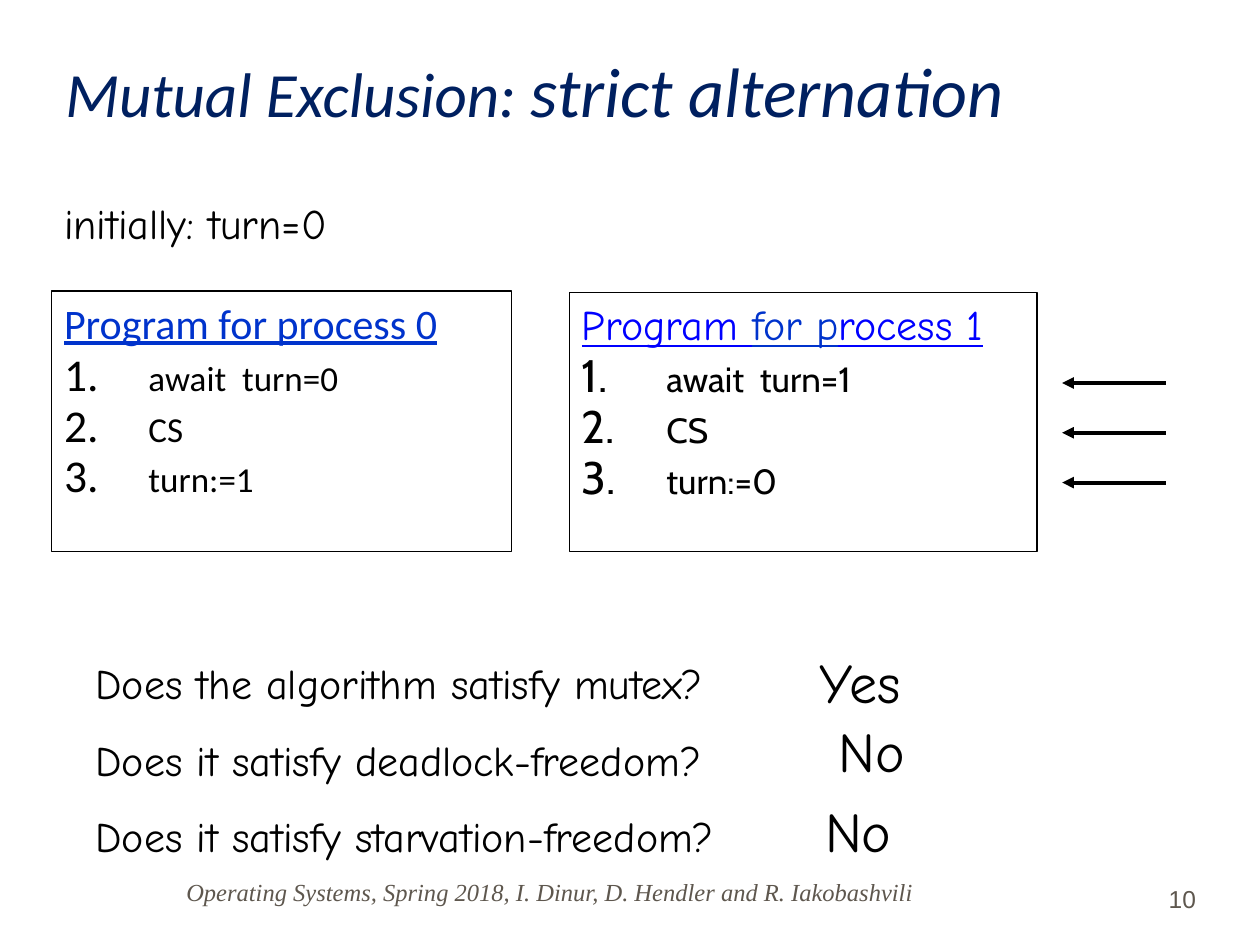
import pptx
import pptx.dml.color
import pptx.enum.shapes
import pptx.enum.text
import pptx.oxml.ns
import pptx.util
from lxml import etree

ANCHOR = pptx.enum.text.MSO_ANCHOR
ALIGN = pptx.enum.text.PP_ALIGN
qn = pptx.oxml.ns.qn

prs = pptx.Presentation()
prs.slide_width = pptx.util.Inches(10)
prs.slide_height = pptx.util.Inches(7.5)
s = prs.slides.add_slide(prs.slide_layouts[6])

# Grid of 100 columns by 75 rows
col = prs.slide_width // 100
row = prs.slide_height // 75

BLACK, GREY, NAVY, BLUE, BRIGHT = "000000", "5E574E", "002060", "0033CC", "0000FF"
COMIC = "Comic Neue"


def rgb(value):
    return pptx.dml.color.RGBColor.from_string(value)


def add_text(x, y, w, h, paragraphs, font=COMIC, size=24, color=BLACK, italic=False,
             align=ALIGN.LEFT, anchor=ANCHOR.TOP, before=0, border=False):
    """Place paragraphs, each a list of (text, format) runs; a format may set number=True."""
    sp = s.shapes.add_textbox(round(x * col), round(y * row), round(w * col), round(h * row))
    if border:
        sp.line.color.rgb = rgb(BLACK)
        sp.line.width = pptx.util.Pt(0.75)
    tf = sp.text_frame
    tf.word_wrap = True
    tf.vertical_anchor = anchor
    for i, runs in enumerate(paragraphs):
        p = tf.paragraphs[0] if i == 0 else tf.add_paragraph()
        p.alignment = align
        if i:
            p.space_before = pptx.util.Pt(before)
        if runs[0][1].get("number"):
            pPr = p._p.get_or_add_pPr()
            indent = round(6.7 * col)
            pPr.set("marL", str(indent))
            pPr.set("indent", str(-indent))
            clr = etree.SubElement(pPr, qn("a:buClr"))
            etree.SubElement(clr, qn("a:srgbClr"), val=BLACK)
            etree.SubElement(pPr, qn("a:buSzPct"), val="130000")
            etree.SubElement(pPr, qn("a:buAutoNum"), type="arabicPeriod")
        for text, fmt in runs:
            r = p.add_run()
            r.text = text
            r.font.name = fmt.get("font", font)
            r.font.size = pptx.util.Pt(fmt.get("size", size))
            r.font.color.rgb = rgb(fmt.get("color", color))
            r.font.italic = italic
            r.font.underline = fmt.get("underline", False)


# Footer and page number
add_text(13.8, 69, 63.8, 3.4,
         [[("Operating Systems, Spring 2018, I. Dinur, D. Hendler and R. Iakobashvili", {})]],
         font="Times New Roman", size=14, color=GREY, italic=True, anchor=ANCHOR.BOTTOM)
add_text(84.4, 68, 11.5, 5, [[("10", {})]], font="Arial", size=14, color=GREY,
         align=ALIGN.RIGHT, anchor=ANCHOR.BOTTOM)

# Title and initial state
add_text(4.2, 5, 95.8, 4.2,
         [[("Mutual Exclusion: ", {"size": 36}), ("strict alternation", {})]],
         font="Calibri", size=40, color=NAVY, italic=True, anchor=ANCHOR.MIDDLE)
add_text(4.1, 15.2, 64.2, 5, [[("initially: turn=0", {})]])

# Questions and answers
questions = ["Does the algorithm satisfy mutex?",
             "Does it satisfy deadlock-freedom?",
             "Does it satisfy starvation-freedom?"]
add_text(6.6, 51.7, 82, 17.2, [[(q, {})] for q in questions], before=15)
for x, y, answer, align in [(54.7, 50.9, "Yes", ALIGN.RIGHT),
                            (55, 56.4, "No", ALIGN.RIGHT),
                            (64.5, 62.7, "No", ALIGN.LEFT)]:
    add_text(x, y, 17.8, 6.4, [[(answer, {})]], size=32, align=align)

# The two programs
programs = [
    (4.1, 23.1, 36.5, 20.7, "Calibri", "Calibri",
     [("Program for process 0", BLUE)], ["await  turn=0", "CS", "turn:=1"]),
    (45.2, 23.2, 37.1, 20.6, COMIC, "Cabin",
     [("Program ", BRIGHT), ("for p", BLUE), ("rocess 1", BRIGHT)],
     ["await  turn=1", "CS", "turn:=0"]),
]
for x, y, w, h, head_font, step_font, heading, steps in programs:
    head = [(t, {"font": head_font, "color": c, "underline": True}) for t, c in heading]
    body = [[(t, {"font": step_font, "size": 20, "number": True})] for t in steps]
    add_text(x, y, w, h, [head] + body, before=5, border=True)

# Arrows pointing at the steps of process 1
for i in range(3):
    y = round((30.4 + 3.95 * i) * row)
    arrow = s.shapes.add_connector(pptx.enum.shapes.MSO_CONNECTOR.STRAIGHT,
                                   round(84.3 * col), y, round(92.5 * col), y)
    arrow.line.color.rgb = rgb(BLACK)
    arrow.line.width = pptx.util.Pt(2.25)
    etree.SubElement(arrow.line._get_or_add_ln(), qn("a:headEnd"), type="triangle")
    etree.SubElement(arrow._element.spPr, qn("a:effectLst"))

prs.save("out.pptx")
